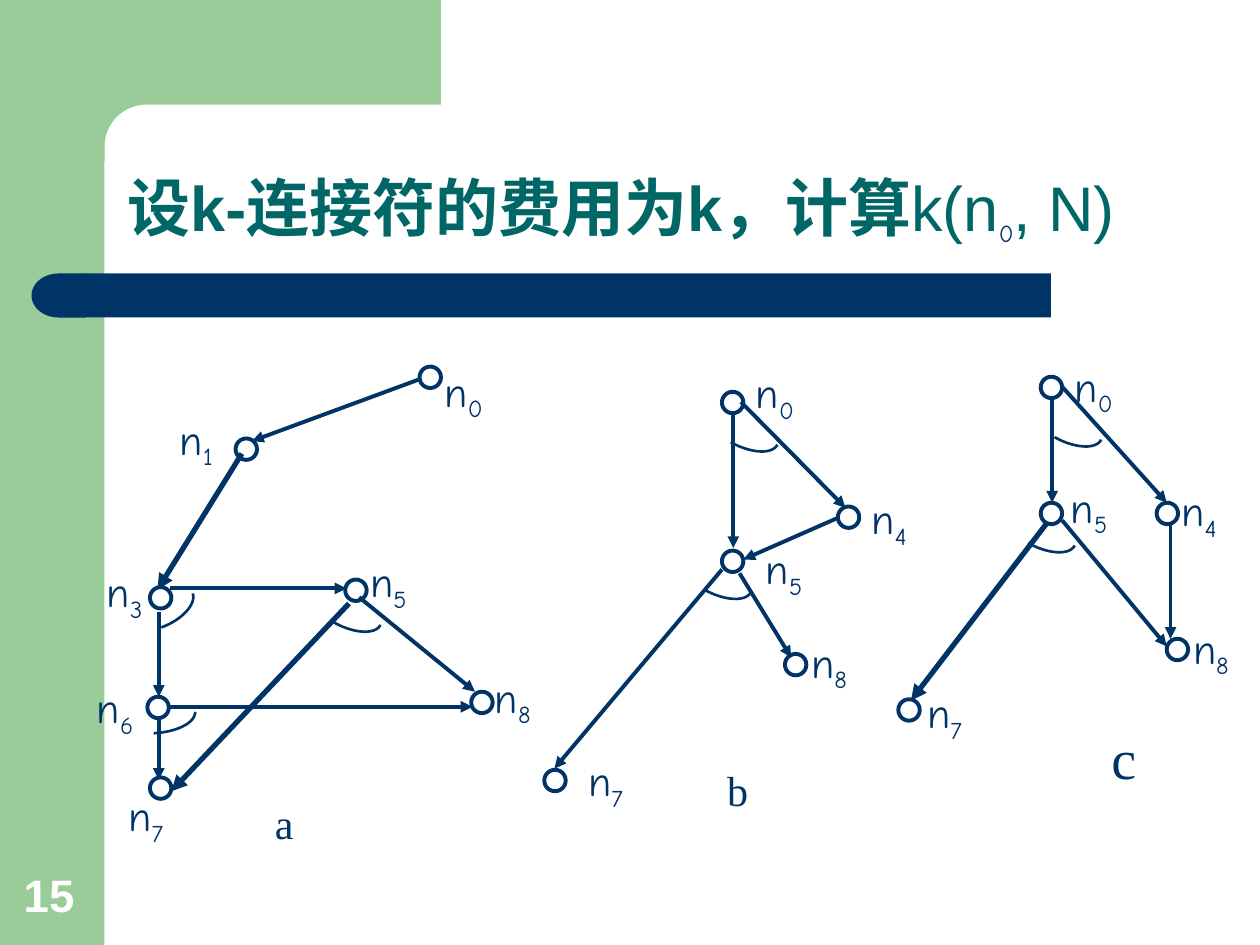
import lxml.etree
import pptx
import pptx.dml.color
import pptx.enum.shapes
import pptx.enum.text
import pptx.oxml.ns
import pptx.util

Inches = pptx.util.Inches
Pt = pptx.util.Pt
SHAPE = pptx.enum.shapes.MSO_SHAPE
ANCHOR = pptx.enum.text.MSO_ANCHOR
ALIGN = pptx.enum.text.PP_ALIGN
AUTO_SIZE = pptx.enum.text.MSO_AUTO_SIZE

COLORS = {"navy": "003366", "green": "99CC99", "teal": "006666", "white": "FFFFFF"}
FORMATS = {
    "title_bold": {"name": "Arial", "size": Pt(36), "bold": True, "color": "teal"},
    "title": {"name": "Arial", "size": Pt(36), "bold": False, "color": "teal"},
    "title_index": {"name": "Comic Neue", "size": Pt(24), "bold": False, "color": "navy", "baseline": -25000},
    "node": {"name": "Comic Neue", "size": Pt(24), "color": "navy"},
    "node_index": {"name": "Comic Neue", "size": Pt(24), "color": "navy", "baseline": -25000},
    "caption": {"name": "Times New Roman", "size": Pt(24), "color": "navy"},
    "caption_large": {"name": "Times New Roman", "size": Pt(32), "color": "navy"},
    "page": {"name": "Arial", "size": Pt(26), "bold": True, "color": "white"},
}
NODE_SIZE = 0.17
THIN, THICK, ARC_WIDTH = 2.25, 3, 1.5
ARC_OFFSETS = {
    "below": [(-0.04, 0.08), (-0.21, 0.07), (-0.37, -0.02)],
    "right": [(0.03, 0.08), (-0.08, 0.21), (-0.25, 0.27)],
    "flat": [(0, 0.09), (-0.15, 0.16), (-0.33, 0.17)],
}
GRAPHS = [
    {
        "nodes": [(1.87, 3.48), (1.19, 4.66), (2.74, 4.6), (3.74, 5.49), (1.17, 5.53), (1.19, 6.17), (3.33, 2.91)],
        "edges": [
            (3.33, 3.01, 2, 3.5, THIN), (1.92, 3.6, 1.25, 4.68, THICK), (1.26, 4.86, 1.26, 5.53, THIN),
            (1.35, 4.67, 2.75, 4.67, THIN), (1.34, 5.61, 3.75, 5.61, THIN), (2.85, 4.74, 3.77, 5.49, THIN),
            (2.77, 4.79, 1.36, 6.28, THICK), (1.26, 5.69, 1.26, 6.19, THIN),
        ],
        "arcs": [(1.53, 4.71, "right"), (1.55, 5.65, "flat"), (3.02, 4.96, "below")],
        "labels": [
            ("0", 3.43, 2.85), ("1", 1.33, 3.23), ("3", 0.75, 4.44), ("5", 2.84, 4.36),
            ("6", 0.67, 5.36), ("8", 3.83, 5.28), ("7", 0.92, 6.22),
        ],
        "caption": ("a", "caption", (1.67, 6.28, 1.17, 0.5)),
    },
    {
        "nodes": [(5.73, 4.37), (6.65, 4.02), (4.32, 6.11), (6.23, 5.19), (5.73, 3.11)],
        "edges": [
            (5.82, 3.27, 5.82, 4.35, THIN), (5.88, 3.19, 6.71, 4.03, THIN), (6.65, 4.11, 5.9, 4.44, THIN),
            (5.73, 4.52, 4.4, 6.1, THIN), (5.87, 4.55, 6.28, 5.22, THIN),
        ],
        "arcs": [(6.17, 3.53, "below"), (5.96, 4.7, "below")],
        "labels": [("0", 5.9, 2.86), ("4", 6.82, 3.86), ("5", 5.98, 4.26), ("7", 4.57, 5.94), ("8", 6.34, 5)],
        "caption": ("b", "caption", (5.48, 6.02, 0.75, 0.5)),
    },
    {
        "nodes": [(8.26, 2.99), (8.26, 3.99), (9.18, 3.99), (7.13, 5.55), (9.26, 5.07)],
        "edges": [
            (8.35, 3.15, 8.35, 3.99, THIN), (8.43, 3.07, 9.26, 3.99, THIN), (8.31, 4.15, 7.23, 5.56, THICK),
            (8.43, 4.13, 9.26, 5.13, THIN), (9.29, 4.15, 9.29, 5.07, THIN),
        ],
        "arcs": [(8.53, 4.33, "below"), (8.74, 3.49, "below")],
        "labels": [("0", 8.43, 2.81), ("4", 9.28, 3.8), ("5", 8.4, 3.77), ("7", 7.26, 5.4), ("8", 9.37, 4.89)],
        "caption": ("c", "caption_large", (8.38, 5.69, 1.08, 0.64)),
    },
]


def rgb(name):
    return pptx.dml.color.RGBColor.from_string(COLORS[name])


def curve(start, first, second, end, steps=16):
    points = []
    for step in range(steps + 1):
        t = step / steps
        weights = ((1 - t) ** 3, 3 * t * (1 - t) ** 2, 3 * t * t * (1 - t), t ** 3)
        controls = (start, first, second, end)
        points.append(tuple(sum(w * c[axis] for w, c in zip(weights, controls)) for axis in (0, 1)))
    return points


class SlideBuilder:
    def __init__(self, slide):
        self.slide = slide
        self.shapes = slide.shapes

    def begin_group(self):
        self.shapes = self.slide.shapes.add_group_shape().shapes

    def end_group(self):
        self.shapes = self.slide.shapes

    def paint(self, shape, fill=None, line=None, width=THIN):
        shape.shadow.inherit = False
        if fill:
            shape.fill.solid()
            shape.fill.fore_color.rgb = rgb(fill)
        else:
            shape.fill.background()
        if line:
            shape.line.color.rgb = rgb(line)
            shape.line.width = Pt(width)
        else:
            shape.line.fill.background()

    def shape(self, kind, box, **look):
        shape = self.shapes.add_shape(kind, *map(Inches, box))
        self.paint(shape, **look)
        return shape

    def outline(self, points, close, **look):
        points = [(Inches(x), Inches(y)) for x, y in points]
        builder = self.shapes.build_freeform(*points[0])
        builder.add_line_segments(points[1:], close=close)
        self.paint(builder.convert_to_shape(), **look)

    def arrow(self, x1, y1, x2, y2, width):
        connector = self.shapes.add_connector(
            pptx.enum.shapes.MSO_CONNECTOR.STRAIGHT, *map(Inches, (x1, y1, x2, y2)))
        connector.line.color.rgb = rgb("navy")
        connector.line.width = Pt(width)
        properties = connector._element.spPr
        line = properties.find(pptx.oxml.ns.qn("a:ln"))
        lxml.etree.SubElement(line, pptx.oxml.ns.qn("a:tailEnd"), type="triangle")
        lxml.etree.SubElement(properties, pptx.oxml.ns.qn("a:effectLst"))

    def fill_text(self, shape, runs, frame_format, paragraph_format):
        frame = shape.text_frame
        for key, value in {"word_wrap": True, **frame_format}.items():
            setattr(frame, key, value)
        paragraph = frame.paragraphs[0]
        for key, value in paragraph_format.items():
            setattr(paragraph, key, value)
        for text, style in runs:
            run = paragraph.add_run()
            run.text = text
            for key, value in FORMATS[style].items():
                if key == "color":
                    run.font.color.rgb = rgb(value)
                elif key == "baseline":
                    run._r.get_or_add_rPr().set("baseline", str(value))
                else:
                    setattr(run.font, key, value)

    def text(self, runs, box, anchor=ANCHOR.TOP, alignment=ALIGN.LEFT, auto_size=AUTO_SIZE.SHAPE_TO_FIT_TEXT):
        shape = self.shapes.add_textbox(*map(Inches, box))
        self.fill_text(shape, runs, {"vertical_anchor": anchor, "auto_size": auto_size}, {"alignment": alignment})

    def title(self, runs, box):
        shape = self.slide.shapes.title
        for key, value in zip(("left", "top", "width", "height"), box):
            setattr(shape, key, Inches(value))
        self.fill_text(shape, runs, {"vertical_anchor": ANCHOR.BOTTOM, "auto_size": AUTO_SIZE.NONE},
                       {"alignment": ALIGN.LEFT, "line_spacing": 0.9})

    def graph(self, nodes, edges, arcs, labels, caption):
        self.begin_group()
        for edge in edges:
            self.arrow(*edge)
        for x, y in nodes:
            self.shape(SHAPE.OVAL, (x, y, NODE_SIZE, NODE_SIZE), line="navy")
        for x, y, kind in arcs:
            controls = [(x + dx, y + dy) for dx, dy in ARC_OFFSETS[kind]]
            self.outline(curve((x, y), *controls), False, line="navy", width=ARC_WIDTH)
        for index, x, y in labels:
            self.text([("n", "node"), (index, "node_index")], (x, y, 0.75, 0.56))
        letter, style, box = caption
        self.text([(letter, style)], box, alignment=ALIGN.CENTER)
        self.end_group()


def main():
    presentation = pptx.Presentation()
    presentation.slide_width, presentation.slide_height = Inches(10), Inches(7.5)
    builder = SlideBuilder(presentation.slides.add_slide(presentation.slide_layouts[5]))
    builder.shape(SHAPE.RECTANGLE, (0, 0, 0.83, 7.5), fill="green")
    corner = curve((1.16, 0.83), (0.98, 0.83), (0.83, 0.98), (0.83, 1.16))
    builder.outline([(0.5, 0), (3.5, 0), (3.5, 0.83), *corner, (0.83, 1.28), (0.5, 1.28)], True, fill="green")
    builder.shape(SHAPE.RECTANGLE, (0.67, 2.17, 7.67, 0.35), fill="navy")
    bar_end = builder.shape(SHAPE.FLOWCHART_DELAY, (0.25, 2.17, 0.43, 0.35), fill="navy")
    bar_end.rotation = 180
    builder.title([("设k-连接符的费用为k，计算", "title_bold"), ("k(n", "title"),
                   ("0", "title_index"), (", N)", "title")], (0.91, 0.91, 8.51, 1.09))
    for graph in GRAPHS:
        builder.graph(**graph)
    builder.text([("15", "page")], (0.09, 6.83, 0.64, 0.53), anchor=ANCHOR.BOTTOM, auto_size=AUTO_SIZE.NONE)
    presentation.save("out.pptx")


if __name__ == "__main__":
    main()
